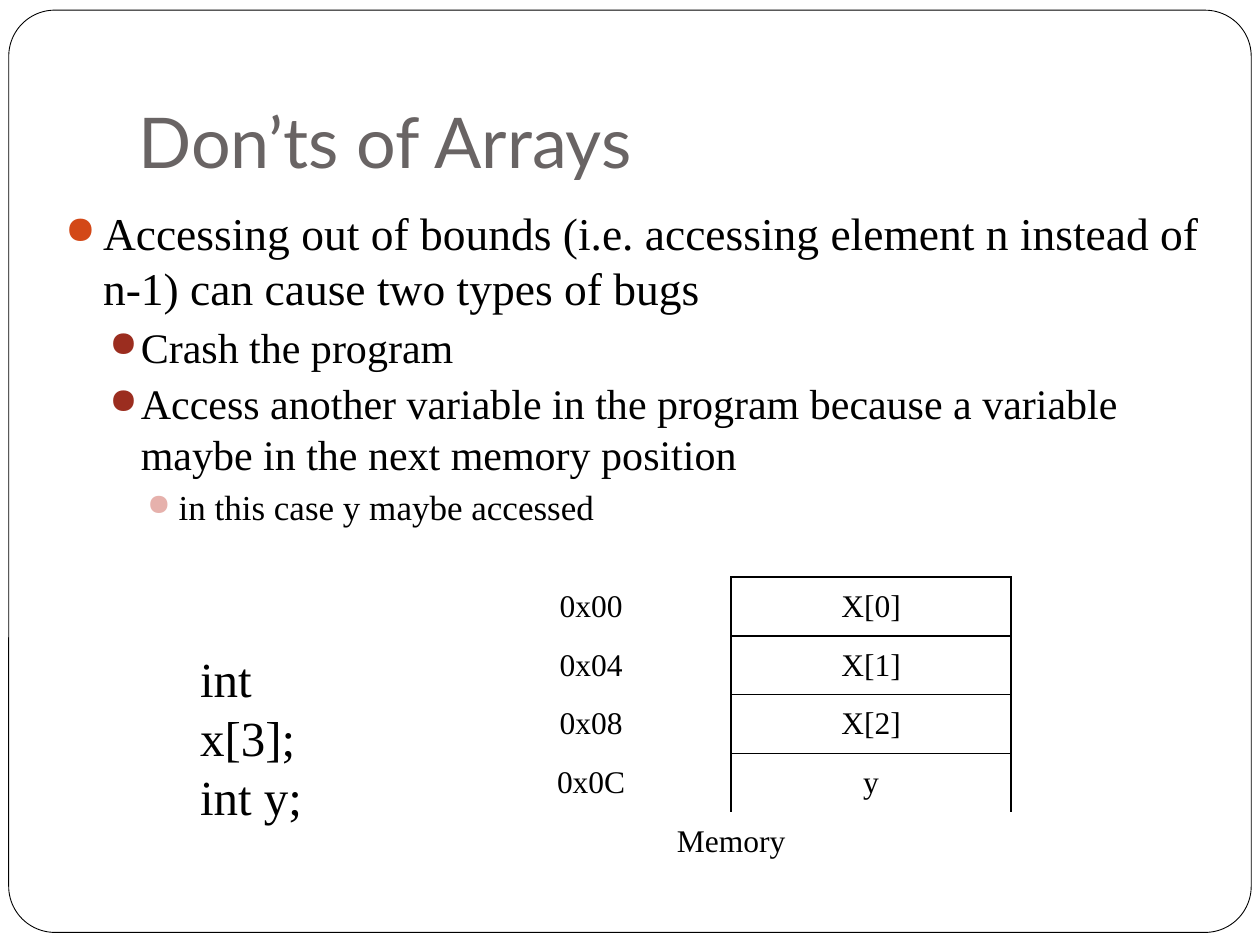
import pptx
import pptx.util
import pptx.dml.color
import pptx.enum.shapes
import pptx.enum.text
import pptx.oxml.ns
from lxml import etree

Pt = pptx.util.Pt
RGBColor = pptx.dml.color.RGBColor
ANCHOR = pptx.enum.text.MSO_ANCHOR
qn = pptx.oxml.ns.qn

BLACK = RGBColor(0, 0, 0)
WHITE = RGBColor(255, 255, 255)
TITLE_GREY = RGBColor(0x69, 0x64, 0x64)
ORANGE = RGBColor(0xD3, 0x48, 0x17)
BRICK = RGBColor(0x9B, 0x2D, 0x1F)
PINK = RGBColor(0xE6, 0xB1, 0xAC)
SERIF, SANS = "Times New Roman", "Lato"

# Content
TITLE = "Don’ts of Arrays"
POINTS = [
    (0, "Accessing out of bounds (i.e. accessing element n instead of n-1) "
        "can cause two types of bugs"),
    (1, "Crash the program"),
    (1, "Access another variable in the program because a variable maybe "
        "in the next memory position"),
    (2, "in this case y maybe accessed"),
]
# level: size, left margin, hanging indent, space before, bullet colour
LEVELS = {
    0: (26, 21.6, 21.6, 5.8, ORANGE),
    1: (24, 43.2, 18, 3.7, BRICK),
    2: (20, 64.8, 18, 3.7, PINK),
}
MEMORY = [("0x00", "X[0]"), ("0x04", "X[1]"), ("0x08", "X[2]"), ("0x0C", "y")]
MEMORY_CAPTION = "Memory"
DECLARATIONS = ["int x[3];", "int y;"]

# Layout: left, top, width, height
FRAME_BOX = (5, 5.8, 710, 527)
TITLE_BOX = (72, 21.6, 612, 90)
POINTS_BOX = (30.2, 113.8, 666, 185.8)
CODE_BOX = (107.3, 367, 97.2, 108)
TABLE_LEFT, TABLE_TOP, COLUMN_WIDTH, ROW_HEIGHT = 257.8, 329.8, 160, 33.6


def style(paragraph, size, font=SERIF, color=BLACK):
    for run in paragraph.runs:
        run.font.size = Pt(size)
        run.font.name = font
        run.font.color.rgb = color


def add_text(slide, box, lines, anchor=ANCHOR.TOP):
    frame = slide.shapes.add_textbox(*map(Pt, box)).text_frame
    frame.word_wrap = True
    frame.vertical_anchor = anchor
    frame.text = "\n".join(lines)
    return frame


def set_bullet(paragraph, margin, hanging, color):
    props = paragraph._p.get_or_add_pPr()
    props.set("marL", str(Pt(margin)))
    props.set("indent", str(-Pt(hanging)))
    bullet_color = etree.SubElement(props, qn("a:buClr"))
    etree.SubElement(bullet_color, qn("a:srgbClr"), val=str(color))
    etree.SubElement(props, qn("a:buSzPct"), val="85000")
    etree.SubElement(props, qn("a:buChar"), char="●")


def set_borders(cell, visible_sides):
    props = cell._tc.get_or_add_tcPr()
    for side in "LRTB":
        line = etree.SubElement(props, qn("a:ln" + side), w=str(Pt(1)))
        if side in visible_sides:
            fill = etree.SubElement(line, qn("a:solidFill"))
            etree.SubElement(fill, qn("a:srgbClr"), val=str(BLACK))
        else:
            etree.SubElement(line, qn("a:noFill"))


def fill_cell(cell, text, visible_sides):
    set_borders(cell, visible_sides)
    cell.fill.background()
    cell.vertical_anchor = ANCHOR.MIDDLE
    cell.text = text
    paragraph = cell.text_frame.paragraphs[0]
    paragraph.alignment = pptx.enum.text.PP_ALIGN.CENTER
    style(paragraph, 18)


def add_memory_table(slide):
    rows = len(MEMORY) + 1
    table = slide.shapes.add_table(
        rows, 2, Pt(TABLE_LEFT), Pt(TABLE_TOP),
        Pt(2 * COLUMN_WIDTH), Pt(rows * ROW_HEIGHT)).table
    table.first_row = table.horz_banding = False
    for column in table.columns:
        column.width = Pt(COLUMN_WIDTH)
    for row in table.rows:
        row.height = Pt(ROW_HEIGHT)
    for index, (address, value) in enumerate(MEMORY):
        is_last = index == len(MEMORY) - 1
        fill_cell(table.cell(index, 0), address, "R")
        # The last variable is left open towards the caption
        fill_cell(table.cell(index, 1), value, "LRT" if is_last else "LRTB")
    caption, spanned = table.cell(rows - 1, 0), table.cell(rows - 1, 1)
    caption.merge(spanned)
    fill_cell(caption, MEMORY_CAPTION, "")
    set_borders(spanned, "")


def main():
    deck = pptx.Presentation()
    deck.slide_width, deck.slide_height = Pt(720), Pt(540)
    slide = deck.slides.add_slide(deck.slide_layouts[6])

    # Rounded frame
    frame = slide.shapes.add_shape(
        pptx.enum.shapes.MSO_SHAPE.ROUNDED_RECTANGLE, *map(Pt, FRAME_BOX))
    frame.adjustments[0] = 0.05
    frame.shadow.inherit = False
    frame.fill.solid()
    frame.fill.fore_color.rgb = WHITE
    frame.line.color.rgb = BLACK
    frame.line.width = Pt(0.5)

    # Title
    title = add_text(slide, TITLE_BOX, [TITLE], ANCHOR.BOTTOM)
    title.margin_bottom = Pt(7.2)
    style(title.paragraphs[0], 40, SANS, TITLE_GREY)

    # Bulleted points
    points = add_text(slide, POINTS_BOX, [text for _, text in POINTS])
    for paragraph, (level, _) in zip(points.paragraphs, POINTS):
        size, margin, hanging, space, color = LEVELS[level]
        paragraph.level = level
        paragraph.space_before = Pt(space)
        set_bullet(paragraph, margin, hanging, color)
        style(paragraph, size)

    # Memory layout and declarations
    add_memory_table(slide)
    for paragraph in add_text(slide, CODE_BOX, DECLARATIONS).paragraphs:
        style(paragraph, 28)

    deck.save("out.pptx")


if __name__ == "__main__":
    main()
